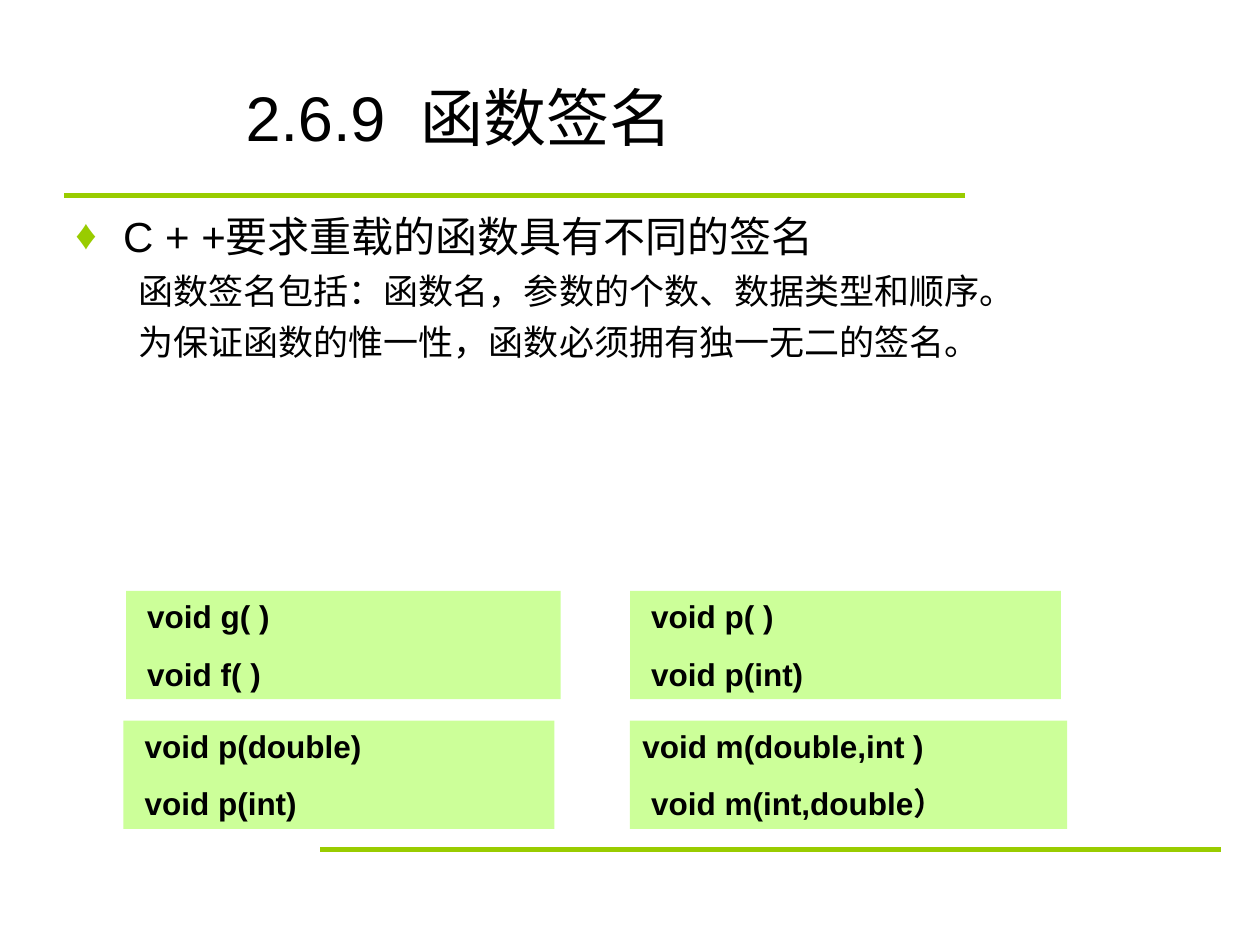
from pptx import Presentation
from pptx.dml.color import RGBColor
from pptx.enum.shapes import MSO_CONNECTOR as CONNECTOR, MSO_SHAPE as SHAPE
from pptx.enum.text import MSO_ANCHOR as ANCHOR, PP_ALIGN as ALIGN
from pptx.oxml.ns import qn
from pptx.util import Inches, Pt
from lxml.etree import SubElement


def color(value):
    return RGBColor.from_string(value)


def add_run(paragraph, text, size, bold=False):
    run = paragraph.add_run()
    run.text = text
    run.font.name = "Arial"
    run.font.size = Pt(size)
    run.font.bold = bold
    run.font.color.rgb = color("000000")
    return run


presentation = Presentation()
presentation.slide_width = Inches(10)
presentation.slide_height = Inches(7.5)
slide = presentation.slides.add_slide(presentation.slide_layouts[6])

for left, top in [(0.51, 1.55), (2.54, 6.74)]:
    rule = slide.shapes.add_connector(
        CONNECTOR.STRAIGHT, Inches(left), Inches(top), Inches(left + 7.15), Inches(top))
    rule.line.color.rgb = color("99CC00")
    rule.line.width = Pt(3)
    SubElement(rule.element.spPr, qn("a:effectLst"))

title = slide.shapes.add_textbox(Inches(1.85), Inches(0.3), Inches(7.65), Inches(1.25))
title.text_frame.word_wrap = True
title.text_frame.vertical_anchor = ANCHOR.MIDDLE
paragraph = title.text_frame.paragraphs[0]
add_run(paragraph, "2.6.9", 36)
gap = add_run(paragraph, " ", 36)
gap.font._element.set("spc", "1000")
add_run(paragraph, "函数签名", 36)

body = slide.shapes.add_textbox(Inches(0.5), Inches(1.62), Inches(9), Inches(5.04))
body.text_frame.word_wrap = True
lines = [
    ("C + +要求重载的函数具有不同的签名", 24, 0, 0.38, -0.38),
    ("函数签名包括：函数名，参数的个数、数据类型和顺序。", 20, 1, 0.81, -0.31),
    ("为保证函数的惟一性，函数必须拥有独一无二的签名。", 20, 1, 0.81, -0.31),
]
for index, (text, size, level, margin, indent) in enumerate(lines):
    paragraph = body.text_frame.paragraphs[0] if index == 0 else body.text_frame.add_paragraph()
    paragraph.level = level
    properties = paragraph._p.get_or_add_pPr()
    properties.set("marL", str(Inches(margin)))
    properties.set("indent", str(Inches(indent)))
    if index == 0:
        bullet_color = SubElement(properties, qn("a:buClr"))
        SubElement(bullet_color, qn("a:srgbClr"), val="99CC00")
        SubElement(properties, qn("a:buFont"), typeface="Arial")
        SubElement(properties, qn("a:buChar"), char="♦")
    else:
        SubElement(properties, qn("a:buNone"))
        paragraph.space_before = Pt(5)
    add_run(paragraph, text, size)

signature_boxes = [
    (0.98, 5.72, 3.42, [("void p(double)", 0.07), ("void p(int)", 0.07)]),
    (5, 5.72, 3.47, [("void m(double,int )", 0), ("void m(int,double）", 0.07)]),
    (5, 4.69, 3.42, [("void p( )", 0.07), ("void p(int)", 0.07)]),
    (1, 4.69, 3.45, [("void g( )", 0.07), ("void f( )", 0.07)]),
]
for left, top, width, signatures in signature_boxes:
    shape = slide.shapes.add_shape(
        SHAPE.RECTANGLE, Inches(left), Inches(top), Inches(width), Inches(0.86))
    shape.shadow.inherit = False
    shape.fill.solid()
    shape.fill.fore_color.rgb = color("CCFF99")
    shape.line.fill.background()
    frame = shape.text_frame
    frame.word_wrap = True
    frame.vertical_anchor = ANCHOR.TOP
    for index, (text, margin) in enumerate(signatures):
        paragraph = frame.paragraphs[0] if index == 0 else frame.add_paragraph()
        paragraph.alignment = ALIGN.LEFT
        paragraph._p.get_or_add_pPr().set("marL", str(Inches(margin)))
        if index > 0:
            paragraph.space_before = Pt(11.2)
        add_run(paragraph, text, 18, bold=True)

presentation.save("out.pptx")
